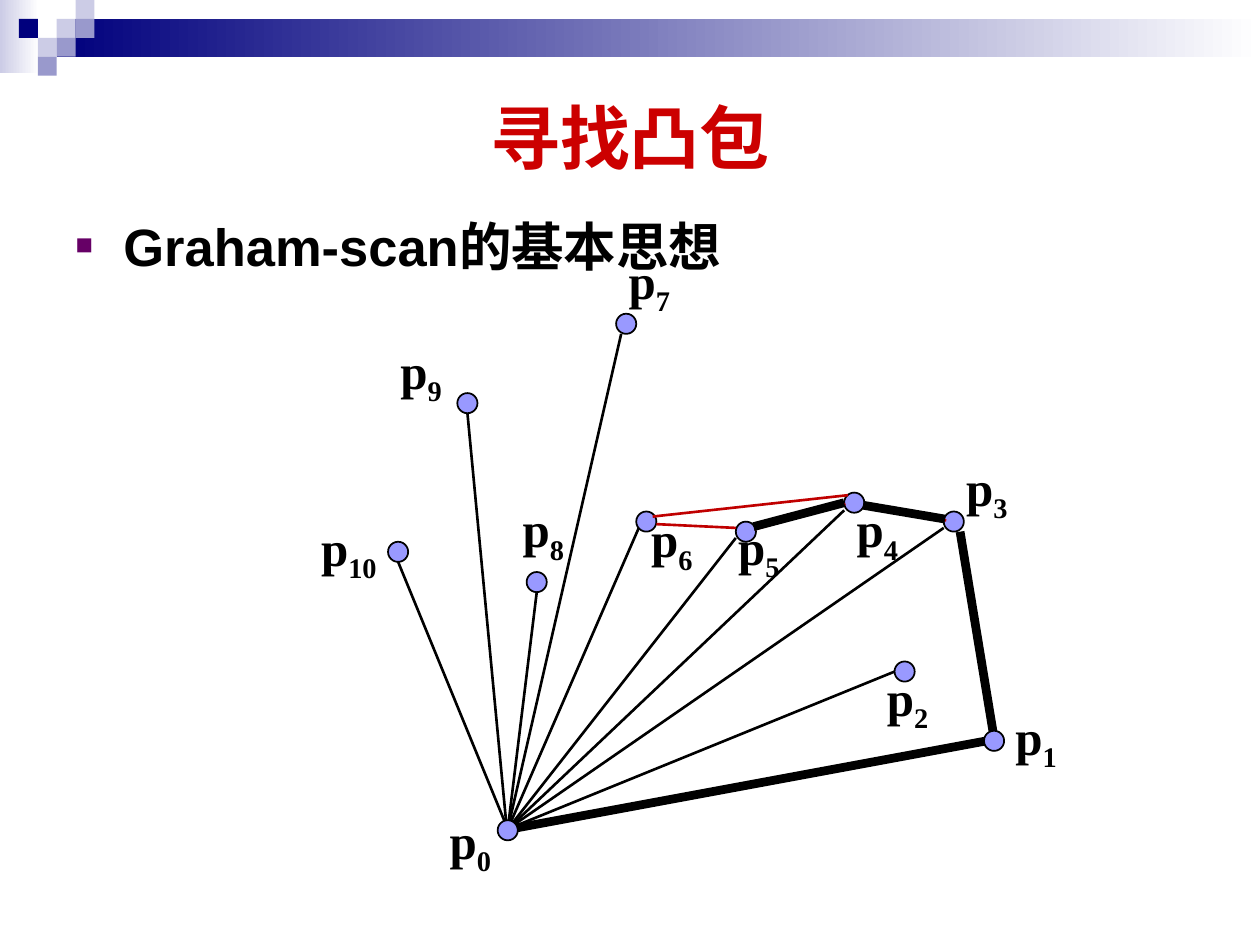
from dataclasses import dataclass

from lxml.etree import SubElement
from pptx import Presentation
from pptx.dml.color import RGBColor
from pptx.enum.shapes import MSO_CONNECTOR, MSO_SHAPE
from pptx.enum.text import MSO_ANCHOR, MSO_AUTO_SIZE, PP_ALIGN
from pptx.oxml.ns import qn
from pptx.util import Inches, Pt

BLACK, RED, DOT_FILL = "000000", "C00000", "9999FF"
NAVY, LAVENDER, VIOLET, WHITE = "00007D", "CCCCE6", "9999CC", "FFFFFF"
DOT_SIZE = 0.16
CELL = 0.15
THIN, THICK = 1.5, 5

Position = tuple[float, float]


@dataclass
class HullPoint:
    index: int
    dot: Position
    label: Position
    ray_end: Position | None = None
    ray_start: Position = (4.03, 6.58)


@dataclass
class Edge:
    start: Position
    end: Position
    color: str = BLACK
    width: float = THICK


BASE_POINTS = [
    HullPoint(0, (3.95, 6.51), (3.47, 6.38)),
    HullPoint(1, (7.81, 5.8), (7.96, 5.56), (7.81, 5.88)),
]
OTHER_POINTS = [
    HullPoint(2, (7.1, 5.25), (6.94, 5.25), (7.1, 5.33)),
    HullPoint(3, (7.49, 4.06), (7.57, 3.58), (7.49, 4.19)),
    HullPoint(4, (6.7, 3.91), (6.7, 3.91), (6.7, 4.05)),
    HullPoint(5, (5.84, 4.14), (5.76, 4.05), (5.84, 4.27)),
    HullPoint(6, (5.05, 4.06), (5.07, 3.99), (5.07, 4.19)),
    HullPoint(7, (4.89, 2.49), (4.89, 1.94), (4.93, 2.65)),
    HullPoint(8, (4.18, 4.54), (4.05, 3.91), (4.26, 4.7)),
    HullPoint(9, (3.63, 3.12), (3.08, 2.65), (3.71, 3.28), (4.03, 6.66)),
    HullPoint(10, (3.08, 4.3), (2.45, 4.06), (3.16, 4.46)),
]
BASE_EDGE = Edge((4.05, 6.58), (7.83, 5.88))
SCAN_EDGES = [
    Edge((7.62, 4.22), (7.88, 5.8)),
    Edge((5.21, 4.16), (5.84, 4.19), RED, THIN),
    Edge((5.18, 4.1), (6.73, 3.93), RED, THIN),
    Edge((6.86, 4.03), (7.51, 4.13), RED, THIN),
    Edge((6.85, 4.01), (7.5, 4.12)),
    Edge((5.99, 4.2), (6.71, 4), RED, THIN),
    Edge((5.98, 4.18), (6.7, 3.99)),
]
# Column, row and colour of each square in the corner mosaic
MOSAIC = [
    (3, 1, LAVENDER), (4, 0, LAVENDER), (4, 1, VIOLET), (2, 2, LAVENDER),
    (1, 1, NAVY), (3, 2, VIOLET), (2, 3, VIOLET),
]


def rgb(color: str) -> RGBColor:
    return RGBColor.from_string(color)


def set_font(font, name: str, size: float, color: str) -> None:
    font.name, font.size, font.bold = name, Pt(size), True
    font.color.rgb = rgb(color)


def place(shape, left: float, top: float, width: float, height: float) -> None:
    shape.left, shape.top = Inches(left), Inches(top)
    shape.width, shape.height = Inches(width), Inches(height)


def add_block(slide, kind, left: float, top: float, width: float, height: float):
    """Add a preset shape without shadow or outline."""
    shape = slide.shapes.add_shape(
        kind, Inches(left), Inches(top), Inches(width), Inches(height))
    shape.shadow.inherit = False
    shape.line.fill.background()
    return shape


def add_gradient_bar(slide, left: float, top: float, width: float,
                     height: float, color: str) -> None:
    bar = add_block(slide, MSO_SHAPE.RECTANGLE, left, top, width, height)
    bar.fill.gradient()
    bar.fill.gradient_angle = 0
    for stop, stop_color in zip(bar.fill.gradient_stops, (color, WHITE)):
        stop.color.rgb = rgb(stop_color)


def add_header(slide) -> None:
    add_gradient_bar(slide, 0, 0, 0.31, 0.58, LAVENDER)
    add_gradient_bar(slide, 0.45, 0.15, 9.55, 0.3, NAVY)
    for column, row, color in MOSAIC:
        square = add_block(slide, MSO_SHAPE.RECTANGLE,
                           column * CELL, row * CELL, CELL, CELL)
        square.fill.solid()
        square.fill.fore_color.rgb = rgb(color)


def add_title(slide, text: str) -> None:
    title = slide.shapes.title
    place(title, 0.5, 0.5, 9, 1.16)
    title.text_frame.text = text
    title.text_frame.vertical_anchor = MSO_ANCHOR.MIDDLE
    paragraph = title.text_frame.paragraphs[0]
    paragraph.alignment = PP_ALIGN.CENTER
    set_font(paragraph.font, "Arial", 40, "CC0000")


def add_body(slide, text: str) -> None:
    body = slide.placeholders[1]
    place(body, 0.5, 1.62, 9, 5.2)
    body.text_frame.text = text
    paragraph = body.text_frame.paragraphs[0]
    paragraph.line_spacing = 1.05
    paragraph.space_before = Pt(4.5)
    set_font(paragraph.font, "Arial", 30, BLACK)
    set_bullet(paragraph, "■", "660066", 55)


def set_bullet(paragraph, character: str, color: str, percent: int) -> None:
    properties = paragraph._p.get_or_add_pPr()
    properties.set("marL", str(Inches(0.38)))
    properties.set("indent", str(Inches(-0.38)))
    bullet_color = SubElement(properties, qn("a:buClr"))
    SubElement(bullet_color, qn("a:srgbClr"), val=color)
    SubElement(properties, qn("a:buSzPct"), val=str(percent * 1000))
    SubElement(properties, qn("a:buFont"), typeface="Arial")
    SubElement(properties, qn("a:buChar"), char=character)
    # The schema wants the default run properties after the bullet
    properties.append(properties.find(qn("a:defRPr")))


def add_dot(slide, point: HullPoint) -> None:
    dot = add_block(slide, MSO_SHAPE.OVAL, *point.dot, DOT_SIZE, DOT_SIZE)
    dot.fill.solid()
    dot.fill.fore_color.rgb = rgb(DOT_FILL)
    dot.line.color.rgb = rgb(BLACK)
    dot.line.width = Pt(1)


def add_label(slide, point: HullPoint) -> None:
    left, top = point.label
    width = 0.55 if point.index < 10 else 0.68
    label = slide.shapes.add_textbox(
        Inches(left), Inches(top), Inches(width), Inches(0.57))
    label.text_frame.word_wrap = False
    label.text_frame.auto_size = MSO_AUTO_SIZE.SHAPE_TO_FIT_TEXT
    paragraph = label.text_frame.paragraphs[0]
    set_font(paragraph.font, "Times New Roman", 28, BLACK)
    paragraph.add_run().text = "p"
    subscript = paragraph.add_run()
    subscript.text = str(point.index)
    subscript._r.get_or_add_rPr().set("baseline", "-25000")


def add_edge(slide, edge: Edge) -> None:
    line = slide.shapes.add_connector(
        MSO_CONNECTOR.STRAIGHT, *map(Inches, edge.start + edge.end))
    line.line.color.rgb = rgb(edge.color)
    line.line.width = Pt(edge.width)
    SubElement(line._element.spPr, qn("a:effectLst"))


def main() -> None:
    presentation = Presentation()
    presentation.slide_width, presentation.slide_height = Inches(10), Inches(7.5)
    slide = presentation.slides.add_slide(presentation.slide_layouts[1])
    add_header(slide)
    add_title(slide, "寻找凸包")
    add_body(slide, "Graham-scan的基本思想")

    points = BASE_POINTS + OTHER_POINTS
    for point in OTHER_POINTS:
        add_dot(slide, point)
    for point in points:
        add_label(slide, point)
    for point in points:
        if point.ray_end:
            add_edge(slide, Edge(point.ray_start, point.ray_end, width=THIN))
    add_edge(slide, BASE_EDGE)
    for point in BASE_POINTS:
        add_dot(slide, point)
    for edge in SCAN_EDGES:
        add_edge(slide, edge)
    presentation.save("out.pptx")


if __name__ == "__main__":
    main()
